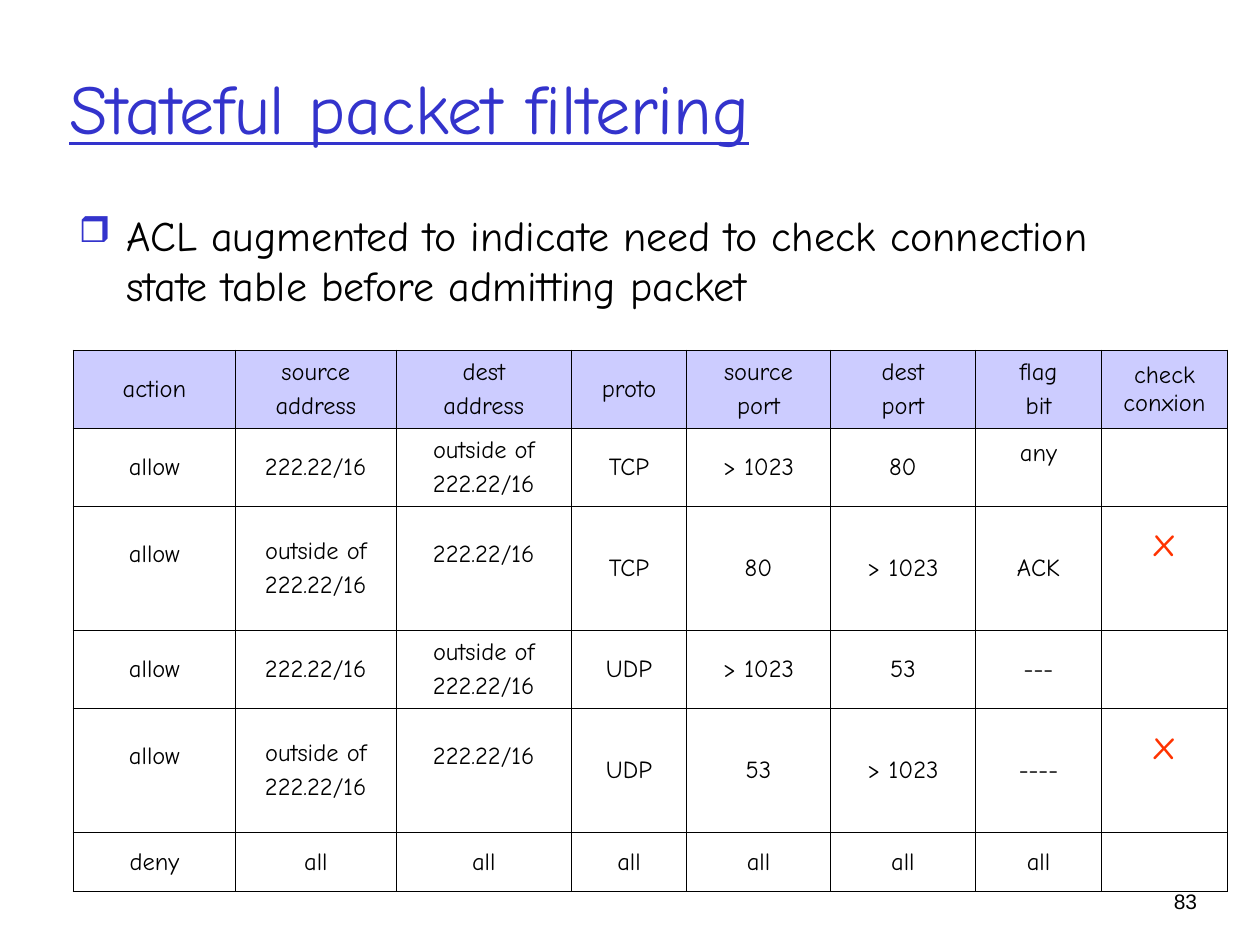
from pptx import Presentation
from pptx.dml.color import RGBColor as RGB
from pptx.enum.text import MSO_ANCHOR as Anchor, PP_ALIGN as Align
from pptx.oxml import parse_xml
from pptx.oxml.ns import nsdecls
from pptx.util import Pt

HUES = {"ink": "000000", "blue": "3333CC", "head": "CCCCFF", "red": "FF3300"}


class Deck:
    """Holds the style and the current slide."""
    face = "Comic Neue"
    thin, thick = 0.45, 1.08
    lift = 16  # extra bottom margin that raises a cell's text

    def __init__(self, wide, high):
        self.prs = Presentation()
        self.prs.slide_width, self.prs.slide_height = Pt(wide), Pt(high)
        self.slide = self.prs.slides.add_slide(self.prs.slide_layouts[6])

    def style(self, para, size, hue="ink", face=None, align=Align.LEFT):
        para.alignment = align
        font = para.font
        font.size, font.name = Pt(size), face or self.face
        font.color.rgb = RGB.from_string(HUES[hue])
        return font

    def text(self, words, box, size, anchor=Anchor.TOP, **look):
        frame = self.slide.shapes.add_textbox(*map(Pt, box)).text_frame
        frame.word_wrap = True
        frame.vertical_anchor = anchor
        para = frame.paragraphs[0]
        para.text = words
        self.style(para, size, **look)
        return para

    def bullet(self, words, box, size, mark, hue, indent):
        para = self.text(words, box, size)
        props = para._p.get_or_add_pPr()
        props.set("marL", str(Pt(indent)))
        props.set("indent", str(-Pt(indent)))
        parts = (f'<a:buClr {nsdecls("a")}><a:srgbClr val="{HUES[hue]}"/></a:buClr>',
                 f'<a:buSzPct {nsdecls("a")} val="85000"/>',
                 f'<a:buChar {nsdecls("a")} char="{mark}"/>')
        for spot, part in enumerate(parts):
            props.insert(spot, parse_xml(part))

    def border(self, cell, sides):
        props = cell._tc.get_or_add_tcPr()
        for side, outer in sides.items():
            width = Pt(self.thick if outer else self.thin)
            props.append(parse_xml(
                f'<a:ln{side} {nsdecls("a")} w="{width}"><a:solidFill>'
                f'<a:srgbClr val="{HUES["ink"]}"/></a:solidFill></a:ln{side}>'))

    def cell(self, cell, words, raised):
        cell.vertical_anchor = Anchor.MIDDLE
        mark = words == "x"
        size, hue = (24, "red") if mark else (14, "ink")
        if raised:
            cell.margin_bottom = Pt(3.6 + self.lift * (1.8 if mark else 1))
        cell.text = words
        for spot, para in enumerate(cell.text_frame.paragraphs):
            if spot:
                para.space_before = Pt(3.5)
            self.style(para, size, hue, align=Align.CENTER)

    def table(self, rows, left, top, cols, highs, raised):
        last, end = len(rows) - 1, len(cols) - 1
        grid = self.slide.shapes.add_table(
            len(rows), len(cols), Pt(left), Pt(top),
            Pt(sum(cols)), Pt(sum(highs))).table
        for col, wide in zip(grid.columns, cols):
            col.width = Pt(wide)
        for r, row in enumerate(rows):
            grid.rows[r].height = Pt(highs[r])
            for c, words in enumerate(row):
                cell = grid.cell(r, c)
                self.border(cell, {"L": c == 0, "R": c == end,
                                   "T": r == 0, "B": r == last})
                if r == 0:
                    cell.fill.solid()
                    cell.fill.fore_color.rgb = RGB.from_string(HUES["head"])
                else:
                    cell.fill.background()
                self.cell(cell, words, (r, c) in raised)


def main():
    deck = Deck(720, 540)

    # Rule table
    near, far = "222.22/16", "outside of\n222.22/16"
    rows = [
        ["action", "source\naddress", "dest\naddress", "proto",
         "source\nport", "dest\nport", "flag\nbit", "check conxion"],
        ["allow", near, far, "TCP", "> 1023", "80", "any", ""],
        ["allow", far, near, "TCP", "80", "> 1023", "ACK", "x"],
        ["allow", near, far, "UDP", "> 1023", "53", "---", ""],
        ["allow", far, near, "UDP", "53", "> 1023", "----", "x"],
        ["deny"] + ["all"] * 6 + [""],
    ]
    cols = [92.5, 92, 100, 66, 82, 83, 72, 72]
    short, tall = 44.6, 70.9
    highs = [short, short, tall, short, tall, 33.7]
    raised = {(1, 6)} | {(r, c) for r in (2, 4) for c in (0, 2, 7)}
    deck.table(rows, 42, 200.2, cols, highs, raised)

    # Title
    title = deck.text("Stateful packet filtering", (32.4, 16, 612, 90), 40,
                      Anchor.MIDDLE, hue="blue")
    title.font.underline = True

    # Body
    deck.bullet("ACL augmented to indicate need to check connection "
                "state table before admitting packet",
                (38, 116, 592, 361), 24, "❒", "blue", 27)

    # Page number
    deck.text("83", (633.6, 504, 57.6, 23), 12, face="Arial", align=Align.RIGHT)

    deck.prs.save("out.pptx")


if __name__ == "__main__":
    main()
